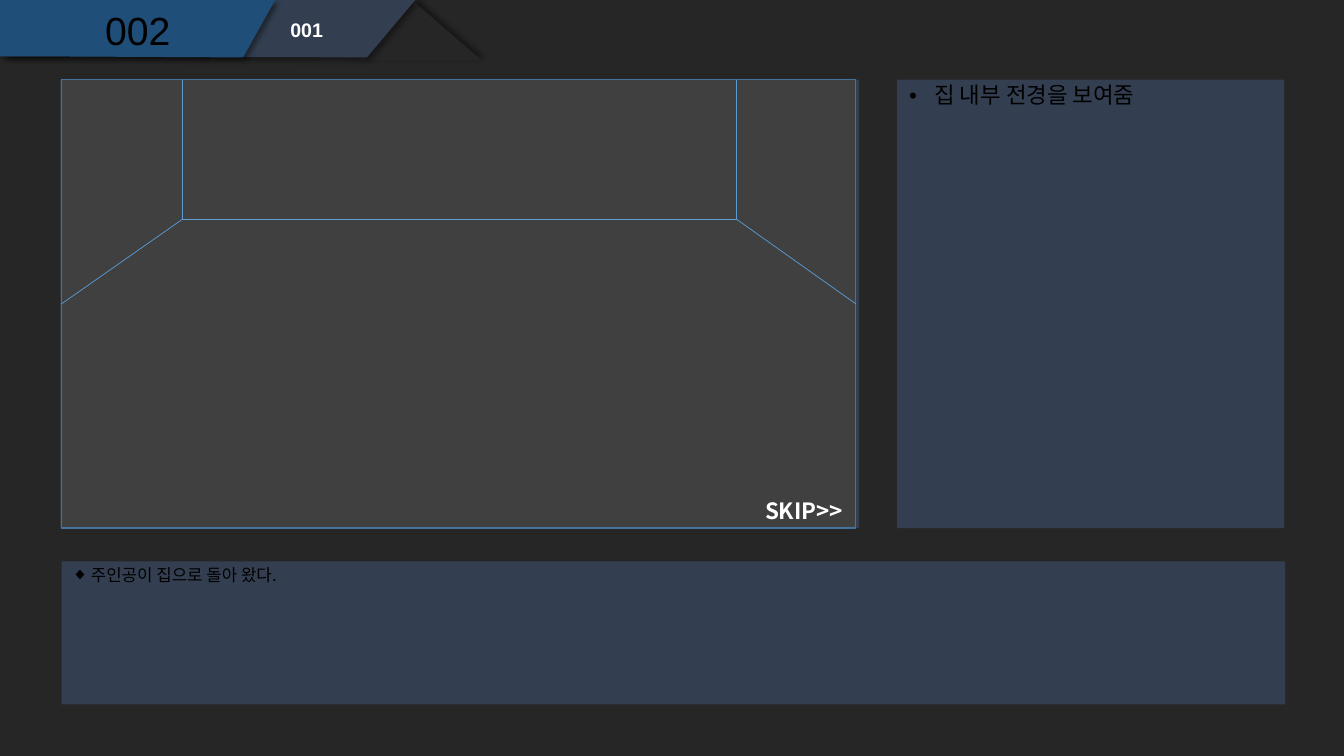
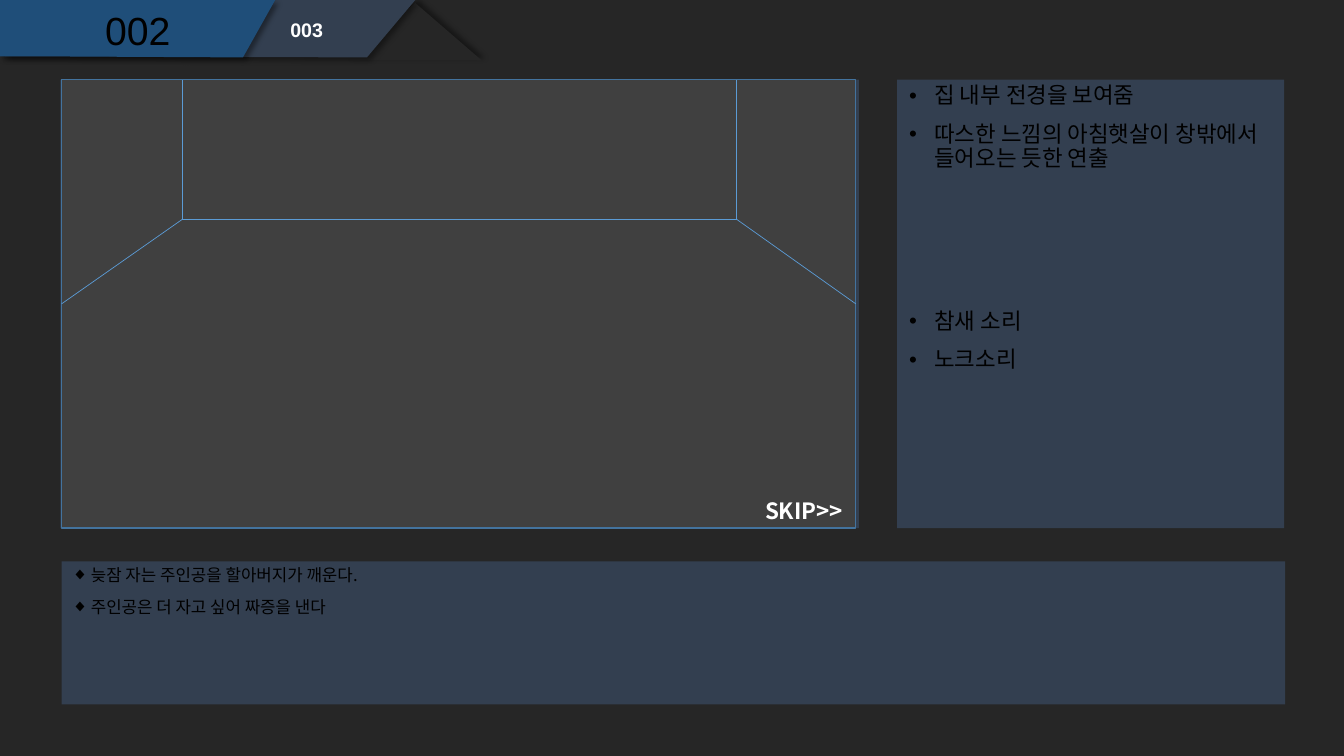
from dataclasses import dataclass
from typing import NamedTuple

from lxml import etree
from pptx import Presentation
from pptx import util as u
from pptx.dml.color import RGBColor
from pptx.enum import shapes, text
from pptx.oxml import ns

WIDTH, HEIGHT = u.Inches(13.33), u.Inches(7.5)
BACKGROUND, PANEL, SCENE_TAB, STAGE = "262626", "333F50", "1F4E79", "404040"
FRAME_LINE, ROOM_LINE, BLACK, WHITE = "43739E", "5B9BD5", "000000", "FFFFFF"
LATIN, KOREAN = "Arial", "Noto Sans CJK KR"
COMPARISON_LAYOUT = 4


class Area(NamedTuple):
    """Left, top, width and height as percent of the slide."""
    left: float
    top: float
    width: float
    height: float


class Tab(NamedTuple):
    left: float
    top_right: float
    bottom_right: float
    kink: float
    color: str


@dataclass(frozen=True)
class TextStyle:
    area: Area
    size: int
    font: str = KOREAN
    color: str = BLACK
    bold: bool = False
    align: text.PP_ALIGN = text.PP_ALIGN.LEFT
    anchor: text.MSO_ANCHOR = text.MSO_ANCHOR.TOP
    bullet: str = ""
    indent: float = 0
    spacing: float = 0.9


@dataclass(frozen=True)
class Shot:
    number: str
    visuals: tuple[str, ...]
    narration: tuple[str, ...]
    sounds: tuple[str, ...] = ()


# Layout measures, in percent of the slide
STAGE_AREA = Area(4.58, 10.53, 59.1, 59.33)
PANELS = (Area(4.5, 10.53, 59.4, 59.33), Area(66.75, 10.53, 28.8, 59.33),
          Area(4.58, 74.27, 91.05, 18.93))
TAB_BOTTOM, TAB_BOTTOM_LEFT = 7.6, 7.47
TABS = (Tab(0.38, 30.9, 27.3, 6.75, PANEL), Tab(0, 20.48, 18.08, 4.28, SCENE_TAB))
FOLD = Area(25.95, 0.4, 9.9, 7.6)
WALL_LEFT, WALL_RIGHT, WALL_BOTTOM = 13.58, 54.8, 29

SCENE = TextStyle(Area(4.58, 0.8, 11.33, 7.07), 28, LATIN,
                  align=text.PP_ALIGN.CENTER, anchor=text.MSO_ANCHOR.MIDDLE)
NUMBER = TextStyle(Area(20.85, 2, 7.5, 4.27), 14, LATIN, WHITE, True)
VISUALS = TextStyle(Area(66.9, 10.53, 28.8, 29.47), 16, bullet="•", indent=0.25)
SOUNDS = TextStyle(Area(66.9, 40.4, 28.8, 29.47), 16, bullet="•", indent=0.25)
NARRATION = TextStyle(Area(4.58, 74.27, 45.45, 18.93), 12, bullet="◆", indent=0.19)
SKIP = TextStyle(Area(56.18, 65.07, 7.5, 4.93), 16, color=WHITE, bold=True, spacing=1)

SCENE_NUMBER = "002"
SHOTS = (
    Shot("001", ("집 내부 전경을 보여줌",), ("주인공이 집으로 돌아 왔다.",)),
    Shot("003",
         ("집 내부 전경을 보여줌", "따스한 느낌의 아침햇살이 창밖에서 들어오는 듯한 연출"),
         ("늦잠 자는 주인공을 할아버지가 깨운다.", "주인공은 더 자고 싶어 짜증을 낸다"),
         ("참새 소리", "노크소리")),
)


def rgb(color: str) -> RGBColor:
    return RGBColor.from_string(color)


def point(x: float, y: float) -> tuple[int, int]:
    return round(WIDTH * x / 100), round(HEIGHT * y / 100)


def bounds(area: Area) -> tuple[int, int, int, int]:
    return point(area.left, area.top) + point(area.width, area.height)


def paint(shape, color: str, line: str = "") -> None:
    shape.shadow.inherit = False
    shape.fill.solid()
    shape.fill.fore_color.rgb = rgb(color)
    if line:
        shape.line.color.rgb = rgb(line)
        shape.line.width = u.Pt(1)
    else:
        shape.line.fill.background()


def add_panel(page, kind, area: Area, color: str, line: str = ""):
    panel = page.shapes.add_shape(kind, *bounds(area))
    paint(panel, color, line)
    return panel


def cast_shadow(shape, angle: int) -> None:
    effects = shape.element.spPr.find(ns.qn("a:effectLst"))
    shadow = etree.SubElement(
        effects, ns.qn("a:outerShdw"), blurRad=str(u.Pt(4)), dist=str(u.Pt(3)),
        dir=str(angle * 60000), algn="ctr", rotWithShape="0")
    tint = etree.SubElement(shadow, ns.qn("a:srgbClr"), val=BLACK)
    etree.SubElement(tint, ns.qn("a:alpha"), val="40000")


def add_tab(page, tab: Tab):
    outline = page.shapes.build_freeform(*point(tab.left, 0), scale=1.0)
    outline.add_line_segments([
        point(tab.top_right, 0), point(tab.bottom_right, TAB_BOTTOM),
        point(tab.kink, TAB_BOTTOM_LEFT), point(tab.left, TAB_BOTTOM_LEFT)])
    shape = outline.convert_to_shape()
    paint(shape, tab.color)
    cast_shadow(shape, 45)
    return shape


def move_bands_to_layout(page, layout) -> None:
    """Draw the shared bands on a page, then hand them to its layout."""
    fold = add_panel(page, shapes.MSO_SHAPE.ISOSCELES_TRIANGLE, FOLD, BACKGROUND)
    cast_shadow(fold, 315)
    bands = [fold] + [add_tab(page, tab) for tab in TABS]
    bands += [add_panel(page, shapes.MSO_SHAPE.RECTANGLE, area, PANEL) for area in PANELS]
    tree = layout.shapes.element
    for band in bands:
        tree.append(band.element)


def write(box, lines: tuple[str, ...], style: TextStyle) -> None:
    box.left, box.top, box.width, box.height = bounds(style.area)
    frame = box.text_frame
    frame.text = "\n".join(lines)
    frame.auto_size = text.MSO_AUTO_SIZE.NONE
    frame.word_wrap = True
    frame.vertical_anchor = style.anchor
    for index, para in enumerate(frame.paragraphs):
        para.alignment = style.align
        para.line_spacing = style.spacing
        para.space_before = u.Pt(10 if index else 0)
        properties = para._p.get_or_add_pPr()
        properties.set("marL", str(u.Inches(style.indent)))
        properties.set("indent", str(-u.Inches(style.indent)))
        if style.bullet:
            etree.SubElement(properties, ns.qn("a:buFont"), typeface=LATIN)
            etree.SubElement(properties, ns.qn("a:buChar"), char=style.bullet)
        else:
            etree.SubElement(properties, ns.qn("a:buNone"))
        para.font.name = style.font
        para.font.size = u.Pt(style.size)
        para.font.bold = style.bold
        para.font.color.rgb = rgb(style.color)
        defaults = properties.find(ns.qn("a:defRPr"))
        etree.SubElement(defaults, ns.qn("a:ea"), typeface=style.font)


def add_edge(page, start: tuple[float, float], end: tuple[float, float]):
    edge = page.shapes.add_connector(
        shapes.MSO_CONNECTOR.STRAIGHT, *point(*start), *point(*end))
    edge.line.color.rgb = rgb(ROOM_LINE)
    edge.line.width = u.Pt(0.5)
    etree.SubElement(edge.element.spPr, ns.qn("a:effectLst"))
    return edge


def add_room(page) -> None:
    # Stage and skip label
    stage = add_panel(page, shapes.MSO_SHAPE.RECTANGLE, STAGE_AREA, STAGE, FRAME_LINE)
    skip = page.shapes.add_textbox(*bounds(SKIP.area))
    write(skip, ("SKIP>>",), SKIP)
    skip.text_frame.word_wrap = False
    skip.text_frame.auto_size = text.MSO_AUTO_SIZE.SHAPE_TO_FIT_TEXT

    # Walls: a floor edge to the stage side and an upright on each hand
    middle = STAGE_AREA.top + STAGE_AREA.height / 2
    right = STAGE_AREA.left + STAGE_AREA.width
    for side, wall, site in ((STAGE_AREA.left, WALL_LEFT, 1), (right, WALL_RIGHT, 3)):
        corner = (wall, WALL_BOTTOM)
        add_edge(page, (side, middle), corner).begin_connect(stage, site)
        add_edge(page, corner, (wall, STAGE_AREA.top))
    add_edge(page, (WALL_LEFT, WALL_BOTTOM), (WALL_RIGHT, WALL_BOTTOM))


def add_shot(page, shot: Shot) -> None:
    contents = (
        ((SCENE_NUMBER,), SCENE), ((shot.number,), NUMBER), (shot.visuals, VISUALS),
        (shot.narration, NARRATION), (shot.sounds, SOUNDS))
    for box, (lines, style) in zip(list(page.placeholders), contents):
        if lines:
            write(box, lines, style)
        else:
            box.element.getparent().remove(box.element)
    add_room(page)


def main() -> None:
    deck = Presentation()
    deck.slide_width, deck.slide_height = WIDTH, HEIGHT
    backdrop = deck.slide_master.background.fill
    backdrop.solid()
    backdrop.fore_color.rgb = rgb(BACKGROUND)
    layout = deck.slide_layouts[COMPARISON_LAYOUT]
    pages = [deck.slides.add_slide(layout) for _ in SHOTS]
    move_bands_to_layout(pages[0], layout)
    for page, shot in zip(pages, SHOTS):
        add_shot(page, shot)
    deck.save("out.pptx")


if __name__ == "__main__":
    main()
